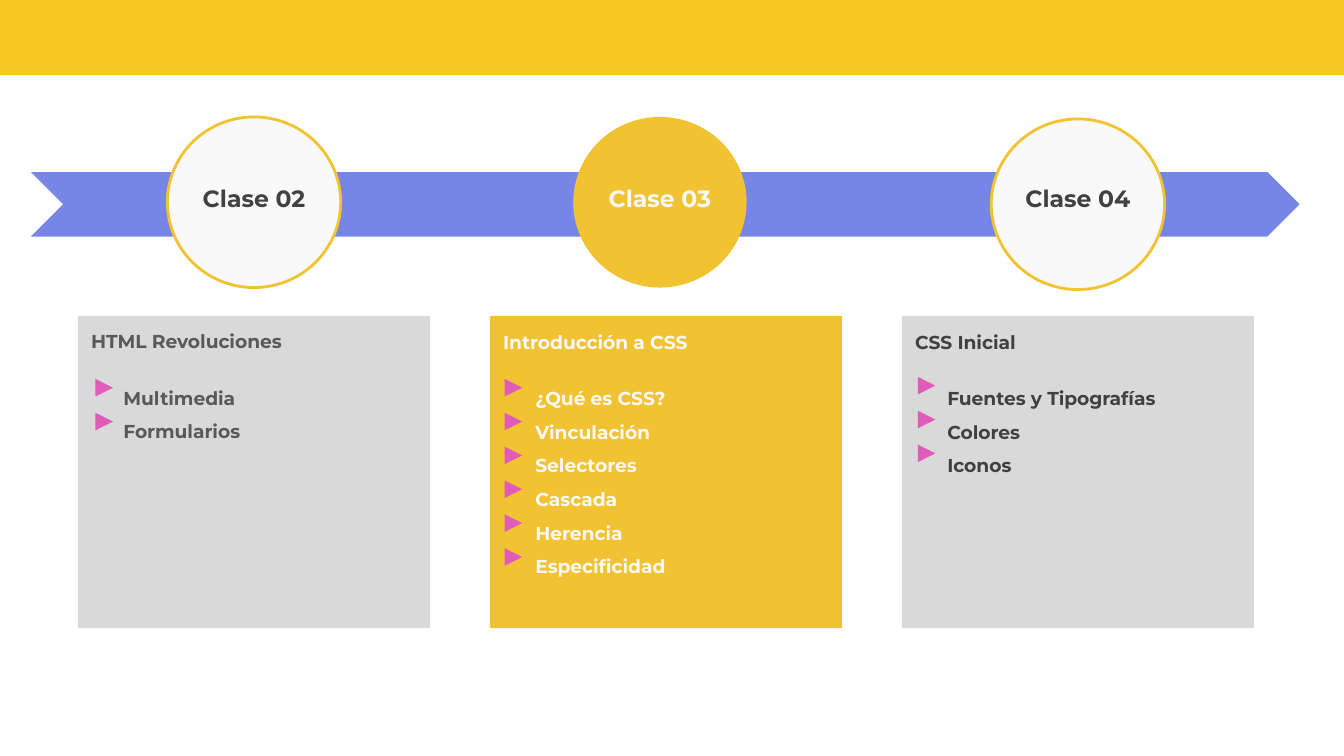
from pptx import Presentation
from pptx.dml.color import RGBColor
from pptx.enum.shapes import MSO_SHAPE
from pptx.enum.text import MSO_ANCHOR, PP_ALIGN
from pptx.util import Inches, Pt

WIDE = Inches(10)
HIGH = WIDE * 9 // 16
CELL = WIDE / 100
GOLD, GRAY, PALE, DARK = "F1C232", "D9D9D9", "F9F9F9", "414141"
STEP = 30.65

CARDS = [
    ("Clase 02", 18.9, 8.7, PALE, DARK, GRAY, "595959", 1.3, 28.2, 23.55,
     "HTML Revoluciones", ["Multimedia", "Formularios"]),
    ("Clase 03", 49.1, 8.7, GOLD, PALE, GOLD, PALE, 1.1, 28.2, 23.6,
     "Introducción a CSS",
     ["¿Qué es CSS?", "Vinculación", "Selectores", "Cascada", "Herencia",
      "Especificidad"]),
    ("Clase 04", 80.2, 8.85, PALE, DARK, GRAY, DARK, 1.2, 28.05, 23.6,
     "CSS Inicial", ["Fuentes y Tipografías", "Colores", "Iconos"]),
]


def grid(*nums):
    return [round(num * CELL) for num in nums]


def tint(code):
    return RGBColor.from_string(code)


def draw(slide, kind, area, fill, line=None):
    shape = slide.shapes.add_shape(kind, *grid(*area))
    shape.shadow.inherit = False
    shape.fill.solid()
    shape.fill.fore_color.rgb = tint(fill)
    if line:
        shape.line.color.rgb = tint(line)
        shape.line.width = Pt(1.5)
    else:
        shape.line.fill.background()
    return shape


def write(slide, area, text, size, color, wrap=True):
    frame = slide.shapes.add_textbox(*grid(*area)).text_frame
    frame.word_wrap = wrap
    frame.vertical_anchor = MSO_ANCHOR.TOP
    frame.margin_left = frame.margin_right = Inches(0.1)
    frame.margin_top = frame.margin_bottom = Inches(0.1)
    frame.text = text
    for para in frame.paragraphs:
        for run in para.runs:
            run.font.name = "Montserrat"
            run.font.size = Pt(size)
            run.font.bold = True
            run.font.color.rgb = tint(color)
    return frame.paragraphs


def badge(slide, text, mid, top, fill, color):
    line = GOLD if fill == PALE else None
    draw(slide, MSO_SHAPE.OVAL, (mid - 6.45, top, 12.9, 12.7), fill, line)
    label = write(slide, (mid - 5, 12.7, 10, 3.3), text, 12.6, color, False)
    label[0].alignment = PP_ALIGN.CENTER


def card(slide, left, top, fill, color, title, items):
    draw(slide, MSO_SHAPE.RECTANGLE, (left, 23.5, 26.2, 23.25), fill)
    text = "\n".join([title, *items])
    lines = write(slide, (left, top, 26.2, 23.1), text, 10, color)[1:]
    for para in lines:
        para.line_spacing = 1.5
        para._p.get_or_add_pPr().set("marL", str(Inches(0.24)))
    lines[0].space_before = Pt(12.2)


def marks(slide, left, top, count):
    for row in range(count):
        area = (left, top + 2.52 * row, 1.3, 1.3)
        mark = draw(slide, MSO_SHAPE.ISOSCELES_TRIANGLE, area, "E15BBA")
        mark.rotation = 90


def main():
    deck = Presentation()
    deck.slide_width, deck.slide_height = WIDE, HIGH
    slide = deck.slides.add_slide(deck.slide_layouts[6])
    draw(slide, MSO_SHAPE.CHEVRON, (2.3, 12.8, 94.4, 4.8), "7685E6")
    draw(slide, MSO_SHAPE.RECTANGLE, (-0.1, -0.5, 100.3, 6.1), "F8C823")
    for col, (name, mid, high, disc, ink, fill, color, pad, start, top,
              title, items) in enumerate(CARDS):
        left = 5.8 + STEP * col
        badge(slide, name, mid, high, disc, ink)
        card(slide, left, top, fill, color, title, items)
        marks(slide, left + pad, start, len(items))
    deck.save("out.pptx")


if __name__ == "__main__":
    main()
